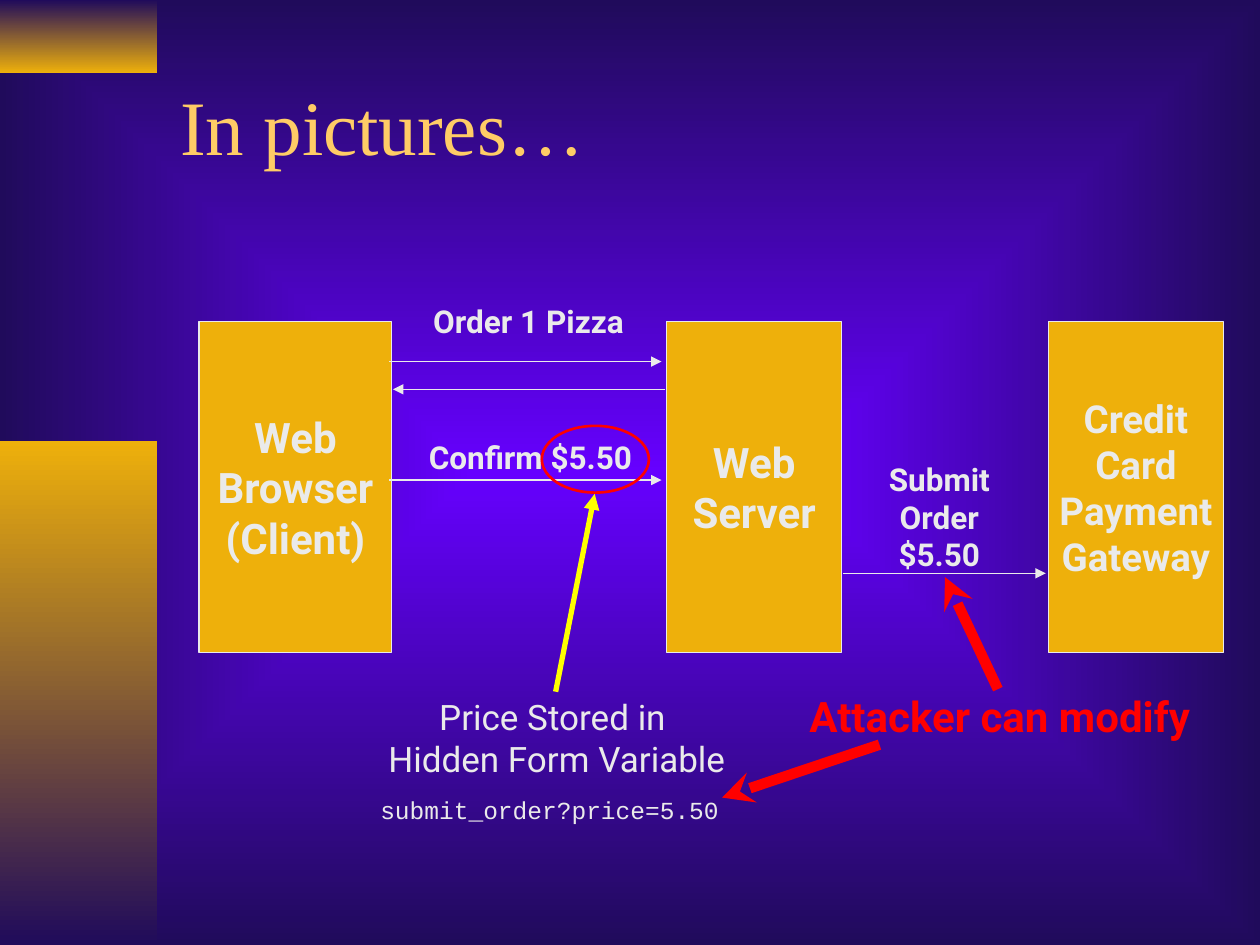
from dataclasses import dataclass

from lxml.etree import SubElement
from pptx import Presentation
from pptx.dml.color import RGBColor
from pptx.dml.fill import FillFormat
from pptx.enum.shapes import MSO_CONNECTOR, MSO_SHAPE
from pptx.enum.text import MSO_ANCHOR, MSO_AUTO_SIZE, PP_ALIGN
from pptx.oxml import parse_xml
from pptx.oxml.ns import nsdecls, qn
from pptx.slide import Slide
from pptx.text.text import TextFrame
from pptx.util import Inches, Pt

NAVY = RGBColor(0x20, 0x0B, 0x5B)
VIOLET = RGBColor(0x66, 0x00, 0xFF)
GOLD = RGBColor(0xEE, 0xB0, 0x0B)
CREAM = RGBColor(0xFF, 0xCC, 0x66)
PALE = RGBColor(0xEA, 0xEA, 0xEA)
RED = RGBColor(0xFF, 0x00, 0x00)
YELLOW = RGBColor(0xFF, 0xFF, 0x00)
BOX_TOP, BOX_HEIGHT = 2.55, 2.63


@dataclass
class Band:
    top: float
    height: float
    start: RGBColor
    end: RGBColor


@dataclass
class Box:
    left: float
    width: float
    paragraphs: list[str]
    size: int = 24


@dataclass
class Label:
    left: float
    top: float
    width: float
    height: float
    paragraphs: list[str]
    size: int = 18
    color: RGBColor = PALE


@dataclass
class Arrow:
    start: tuple[float, float]
    end: tuple[float, float]
    color: RGBColor = PALE
    weight: float = 0.75
    tip: str = "tailEnd"
    style: str = "triangle"


BANDS = [Band(0, 0.58, NAVY, GOLD), Band(3.5, 4, GOLD, NAVY)]
BOXES = [
    Box(5.29, 1.39, ["Web", "Server"]),
    Box(1.58, 1.53, ["Web", "Browser\n(Client)"]),
    Box(8.32, 1.39, ["Credit", "Card", "Payment", "Gateway"], 22),
]
MESSAGES = [
    Arrow((3.09, 2.87), (5.25, 2.87)),
    Arrow((5.28, 3.09), (3.12, 3.09)),
    Arrow((3.09, 3.81), (5.25, 3.81)),
    Arrow((6.69, 4.55), (8.3, 4.55)),
]
LABELS = [
    Label(3.28, 2.35, 1.83, 0.4, ["Order 1 Pizza"]),
    Label(3.25, 3.43, 1.92, 0.4, ["Confirm $5.50"]),
    Label(6.91, 3.6, 1.09, 1, ["Submit\nOrder", "$5.50"]),
    Label(6.15, 5.43, 3.57, 0.5, ["Attacker can modify"], 24, RED),
]
POINTERS = [
    Arrow((7.5, 4.58), (7.92, 5.47), RED, 6, "headEnd", "stealth"),
    Arrow((4.41, 5.49), (4.72, 3.92), YELLOW, 3),
    Arrow((5.73, 6.33), (6.98, 5.91), RED, 6, "headEnd", "stealth"),
]


def set_gradient(fill: FillFormat, start: RGBColor, end: RGBColor) -> None:
    fill.gradient()
    for stop, position, color in zip(fill.gradient_stops, (0, 1), (start, end)):
        stop.position = position
        stop.color.rgb = color


def set_background(s: Slide) -> None:
    set_gradient(s.background.fill, VIOLET, NAVY)
    lin = s.element.find(".//" + qn("a:lin"))
    path = parse_xml(
        f'<a:path {nsdecls("a")} path="rect">'
        '<a:fillToRect l="50000" t="50000" r="50000" b="50000"/></a:path>'
    )
    lin.getparent().replace(lin, path)


def add_paragraph(tf: TextFrame, text: str, size: int, color: RGBColor,
                  font: str = "Roboto", bold: bool = False,
                  align: PP_ALIGN = PP_ALIGN.CENTER, before: float = 0) -> None:
    p = tf.paragraphs[0] if not tf.text else tf.add_paragraph()
    p.alignment = align
    p.space_before = Pt(before)
    for i, line in enumerate(text.split("\n")):
        if i:
            p.add_line_break()
        r = p.add_run()
        r.text = line
        r.font.name = font
        r.font.size = Pt(size)
        r.font.bold = bold
        r.font.color.rgb = color


def add_title(s: Slide, text: str) -> None:
    sp = s.shapes.title
    sp.left, sp.top = Inches(1.33), Inches(0.33)
    sp.width, sp.height = Inches(8.5), Inches(1.32)
    sp.text_frame.vertical_anchor = MSO_ANCHOR.MIDDLE
    add_paragraph(sp.text_frame, text, 44, CREAM, "Times New Roman",
                  align=PP_ALIGN.LEFT)


def add_band(s: Slide, band: Band) -> None:
    sp = s.shapes.add_shape(MSO_SHAPE.RECTANGLE, 0, Inches(band.top),
                            Inches(1.25), Inches(band.height))
    sp.shadow.inherit = False
    sp.line.fill.background()
    set_gradient(sp.fill, band.start, band.end)
    sp.fill.gradient_angle = 270


def add_box(s: Slide, box: Box) -> None:
    sp = s.shapes.add_shape(MSO_SHAPE.RECTANGLE, Inches(box.left), Inches(BOX_TOP),
                            Inches(box.width), Inches(BOX_HEIGHT))
    sp.shadow.inherit = False
    sp.fill.solid()
    sp.fill.fore_color.rgb = GOLD
    sp.line.color.rgb = PALE
    sp.line.width = Pt(0.75)
    tf = sp.text_frame
    tf.word_wrap = False
    tf.vertical_anchor = MSO_ANCHOR.MIDDLE
    for text in box.paragraphs:
        add_paragraph(tf, text, box.size, PALE, bold=True)


def add_text_frame(s: Slide, left: float, top: float, width: float,
                   height: float, wrap: bool) -> TextFrame:
    tf = s.shapes.add_textbox(Inches(left), Inches(top),
                              Inches(width), Inches(height)).text_frame
    tf.word_wrap = wrap
    tf.auto_size = MSO_AUTO_SIZE.SHAPE_TO_FIT_TEXT
    return tf


def add_label(s: Slide, label: Label) -> None:
    tf = add_text_frame(s, label.left, label.top, label.width, label.height, False)
    for text in label.paragraphs:
        add_paragraph(tf, text, label.size, label.color, bold=True)


def add_price_note(s: Slide) -> None:
    tf = add_text_frame(s, 2.92, 5.47, 3, 1.46, True)
    add_paragraph(tf, "Price Stored in \nHidden Form Variable", 20, PALE, before=12.5)
    add_paragraph(tf, "submit_order?price=5.50", 14, PALE, "Courier New",
                  align=PP_ALIGN.LEFT, before=8.8)


def add_price_ring(s: Slide) -> None:
    sp = s.shapes.add_shape(MSO_SHAPE.OVAL, Inches(4.3), Inches(3.38),
                            Inches(0.85), Inches(0.53))
    sp.shadow.inherit = False
    sp.fill.background()
    sp.line.color.rgb = RED
    sp.line.width = Pt(1.5)


def add_arrow(s: Slide, arrow: Arrow) -> None:
    points = [Inches(v) for v in (*arrow.start, *arrow.end)]
    c = s.shapes.add_connector(MSO_CONNECTOR.STRAIGHT, *points)
    c.line.color.rgb = arrow.color
    c.line.width = Pt(arrow.weight)
    sp_pr = c.element.spPr
    SubElement(sp_pr.find(qn("a:ln")), qn(f"a:{arrow.tip}"), type=arrow.style)
    SubElement(sp_pr, qn("a:effectLst"))


def main() -> None:
    prs = Presentation()
    prs.slide_width, prs.slide_height = Inches(10), Inches(7.5)
    s = prs.slides.add_slide(prs.slide_layouts[5])
    set_background(s)
    for band in BANDS:
        add_band(s, band)
    add_title(s, "In pictures…")
    for box in BOXES:
        add_box(s, box)
    for message in MESSAGES:
        add_arrow(s, message)
    for label in LABELS:
        add_label(s, label)
    add_price_note(s)
    add_price_ring(s)
    for pointer in POINTERS:
        add_arrow(s, pointer)
    prs.save("out.pptx")


if __name__ == "__main__":
    main()
